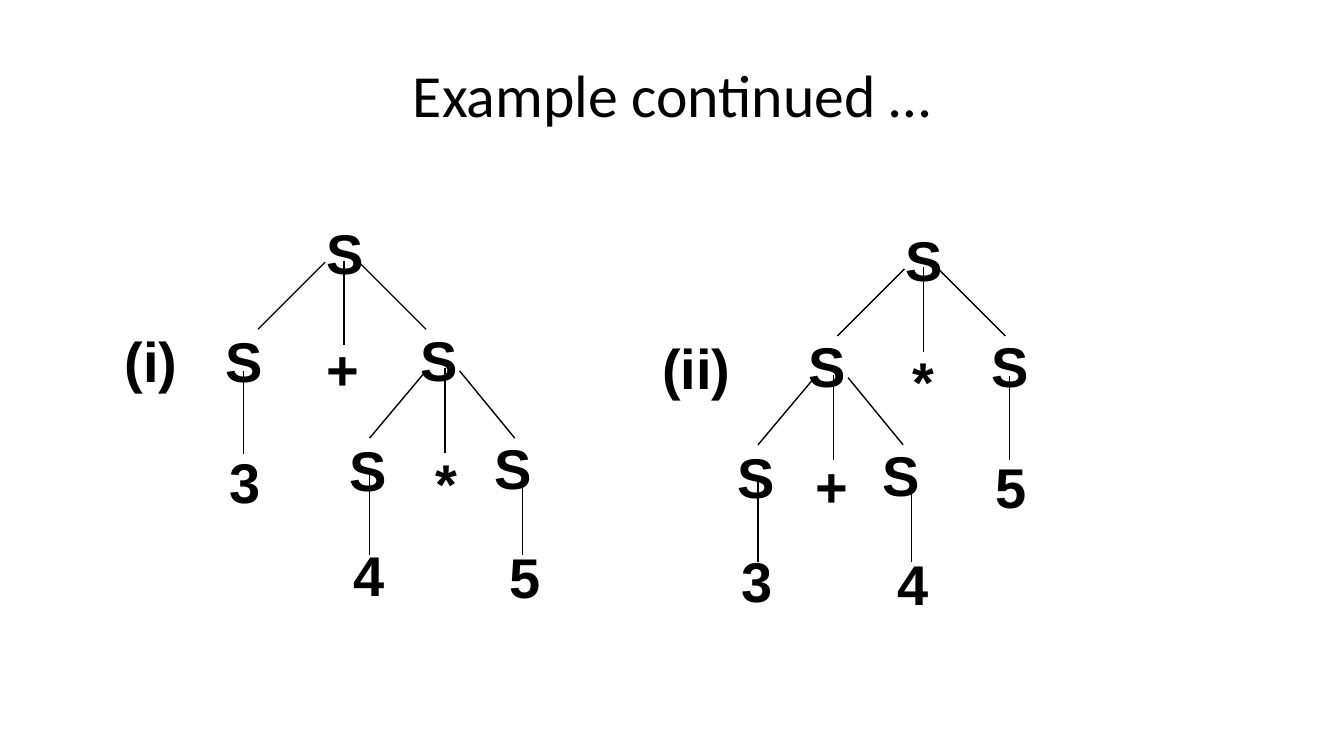
from pptx import Presentation
from pptx.dml.color import RGBColor
from pptx.enum.shapes import MSO_CONNECTOR
from pptx.enum.text import MSO_ANCHOR, MSO_AUTO_SIZE, PP_ALIGN
from pptx.oxml import parse_xml
from pptx.oxml.ns import nsdecls
from pptx.util import Inches, Pt

INK = "000000"
ROOT_EDGES = [(0.09, 0.37, -0.41, 0.87), (0.34, 0.37, 0.84, 0.87), (0.23, 0.36, 0.23, 0.99)]
SUB_EDGES = [(0.14, 0.39, -0.28, 0.89), (0.39, 0.39, 0.8, 0.89), (0.28, 0.37, 0.28, 1)]
SUB_CHILDREN = [(-0.53, 0.82), (0.55, 0.81)]
UPPER_LEAF = (0.23, 0.38, 0.03, 0.9)
LOWER_LEAVES = [(0.25, 0.32, 0.03, 0.78), (0.31, 0.33, 0.11, 0.81)]


def rgb(value):
    """Turn a hex string into a colour."""
    return RGBColor.from_string(value)


def shift(origin, offset):
    """Move a point by an offset."""
    return origin[0] + offset[0], origin[1] + offset[1]


def write(paragraph, words, size, font, bold=False):
    """Add one formatted run to a paragraph."""
    run = paragraph.add_run()
    run.text = words
    run.font.size = Pt(size)
    run.font.name = font
    run.font.bold = bold
    run.font.color.rgb = rgb(INK)


def add_symbol(slide, corner, symbol, width=0.92):
    """Place one grammar symbol with its box corner at the given point."""
    box = slide.shapes.add_textbox(*map(Inches, (*corner, width, 0.6)))
    frame = box.text_frame
    frame.word_wrap = True
    frame.auto_size = MSO_AUTO_SIZE.SHAPE_TO_FIT_TEXT
    write(frame.paragraphs[0], symbol, 30, "Arial", True)


def add_edge(slide, origin, edge):
    """Draw a tree edge given relative to the parent symbol."""
    ends = shift(origin, edge[:2]) + shift(origin, edge[2:])
    line = slide.shapes.add_connector(MSO_CONNECTOR.STRAIGHT, *map(Inches, ends))
    line.line.color.rgb = rgb(INK)
    line.line.width = Pt(0.75)
    line._element.spPr.append(parse_xml(f"<a:effectLst {nsdecls('a')}/>"))


def add_expression(slide, origin, edges, children, operator, operator_offset):
    """Draw a parent S with two S children around an operator; return the children's corners."""
    add_symbol(slide, origin, "S")
    for edge in edges:
        add_edge(slide, origin, edge)
    add_symbol(slide, shift(origin, operator_offset), operator)
    return [shift(origin, child) for child in children]


def add_leaf(slide, origin, digit, placing):
    """Hang a digit below the S at origin."""
    x, top, digit_x, digit_y = placing
    add_edge(slide, origin, (x, top, x, top + 0.62))
    add_symbol(slide, shift(origin, (digit_x, digit_y)), digit, 1.33)


def add_tree(slide, root, label, label_x, children, nested, operators, offsets, digits):
    """Draw a labelled parse tree whose child number `nested` is expanded again."""
    add_symbol(slide, shift(root, (label_x, 0.8)), label, 1.33)
    corners = add_expression(slide, root, ROOT_EDGES, children, operators[0], offsets[0])
    single = corners[1 - nested]
    add_symbol(slide, single, "S")
    add_leaf(slide, single, digits[0], UPPER_LEAF)
    lower = add_expression(slide, corners[nested], SUB_EDGES, SUB_CHILDREN,
                           operators[1], offsets[1])
    for corner, digit, placing in zip(lower, digits[1:], LOWER_LEAVES):
        add_symbol(slide, corner, "S")
        add_leaf(slide, corner, digit, placing)


def add_title(slide, box):
    """Place and format the slide title."""
    title = slide.shapes.title
    title.left, title.top, title.width, title.height = map(Inches, box)
    frame = title.text_frame
    frame.vertical_anchor = MSO_ANCHOR.MIDDLE
    frame.paragraphs[0].alignment = PP_ALIGN.CENTER
    write(frame.paragraphs[0], "Example continued …", 32, "Calibri")


def main():
    """Build and save the slide."""
    deck = Presentation()
    deck.slide_width = Inches(10)
    deck.slide_height = deck.slide_width * 9 // 16
    slide = deck.slides.add_slide(deck.slide_layouts[5])
    add_title(slide, (0.5, 0.23, 9, 0.94))
    add_tree(slide, (2.33, 1.58), "(i)", -1.5, [(-0.75, 0.8), (0.7, 0.79)], 1,
             "+*", [(0, 0.86), (0.11, 0.92)], "345")
    add_tree(slide, (6.64, 1.63), "(ii)", -1.81, [(-0.72, 0.79), (0.64, 0.79)], 0,
             "*+", [(0.05, 0.9), (0.05, 0.89)], "534")
    deck.save("out.pptx")


if __name__ == "__main__":
    main()
